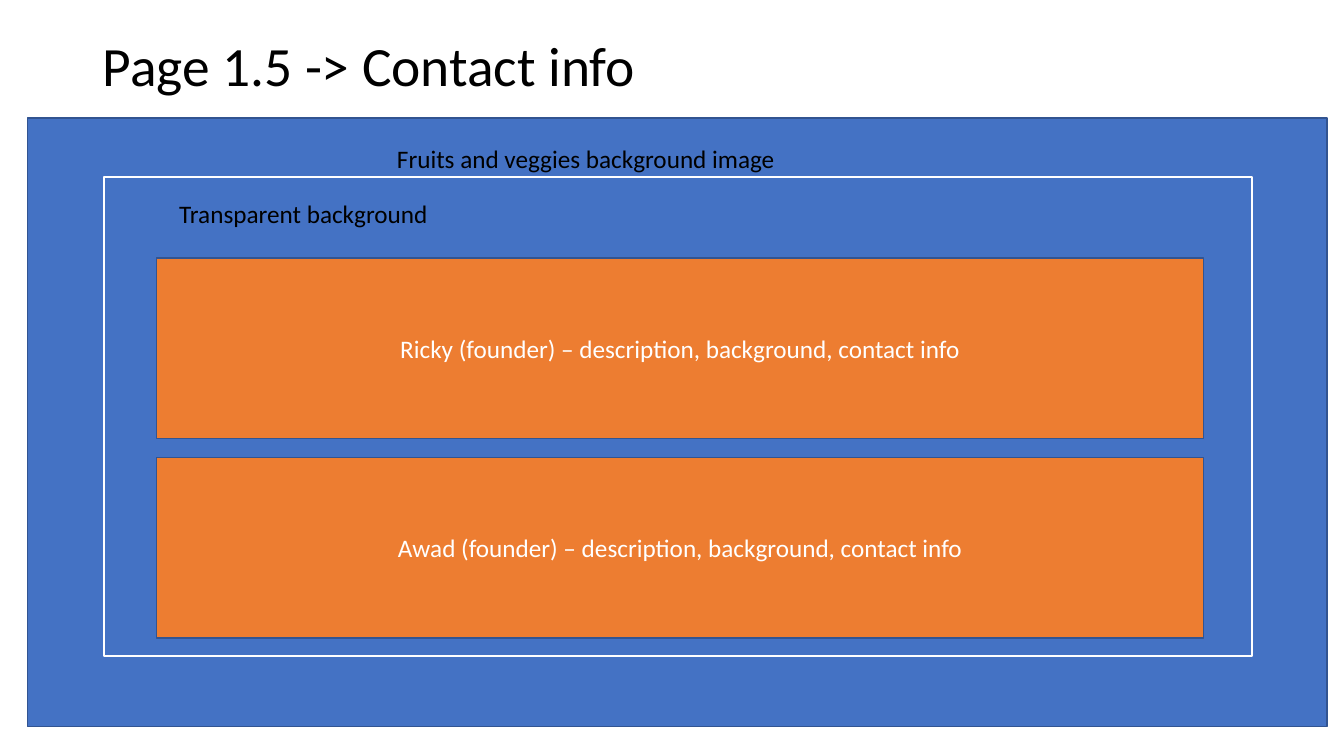
from pptx import Presentation, util as u
from pptx.dml.color import RGBColor
from pptx.enum import shapes, text

THEME = {
    "font": "Calibri", "head": 39.6, "body": 18,
    "black": "000000", "white": "FFFFFF",
    "blue": "4472C4", "orange": "ED7D31", "edge": "325491",
}

deck = Presentation()
deck.slide_width, deck.slide_height = u.Inches(13.33), u.Inches(7.5)
slide = deck.slides.add_slide(deck.slide_layouts[6])

# The grid has 100 columns and 100 rows
COL, ROW = deck.slide_width / 100, deck.slide_height / 100


def place(left, top, width, height):
    return [round(n) for n in (left * COL, top * ROW, width * COL, height * ROW)]


def put(words="", *, area, size="body", color="black", fill=None, line=None,
        weight=1, align="LEFT", anchor="TOP", space=1):
    """Add a text box, or a rectangle when a line colour is given."""
    if line:
        item = slide.shapes.add_shape(shapes.MSO_SHAPE.RECTANGLE, *place(*area))
        item.shadow.inherit = False
        item.line.color.rgb = RGBColor.from_string(THEME[line])
        item.line.width = u.Pt(weight)
        if fill:
            item.fill.solid()
            item.fill.fore_color.rgb = RGBColor.from_string(THEME[fill])
        else:
            item.fill.background()
    else:
        item = slide.shapes.add_textbox(*place(*area))
    if words:
        frame = item.text_frame
        frame.word_wrap = True
        frame.vertical_anchor = text.MSO_ANCHOR[anchor]
        para = frame.paragraphs[0]
        para.alignment = text.PP_ALIGN[align]
        para.line_spacing = space
        run = para.add_run()
        run.text = words
        run.font.name = THEME["font"]
        run.font.size = u.Pt(THEME[size])
        run.font.color.rgb = RGBColor.from_string(THEME[color])


# Title
put("Page 1.5 -> Contact info", area=(6.9, 5.33, 86.25, 7.6),
    size="head", anchor="MIDDLE", space=0.9)

# Backdrop
put(area=(2.03, 15.6, 96.7, 80.53), fill="blue", line="edge")

# Founder cards
for row, name in enumerate(["Ricky", "Awad"]):
    put(f"{name} (founder) – description, background, contact info",
        area=(11.63, 34.13 + row * 26.4, 77.94, 23.87), color="white",
        fill="orange", line="edge", align="CENTER", anchor="MIDDLE")

# Clear panel and captions
put("Fruits and veggies background image", area=(28.8, 18.27, 42.9, 5.33))
put(area=(7.73, 23.47, 85.45, 63.33), line="white", weight=1.5)
put("Transparent background", area=(12.6, 25.6, 54.09, 5.33))

deck.save("out.pptx")
